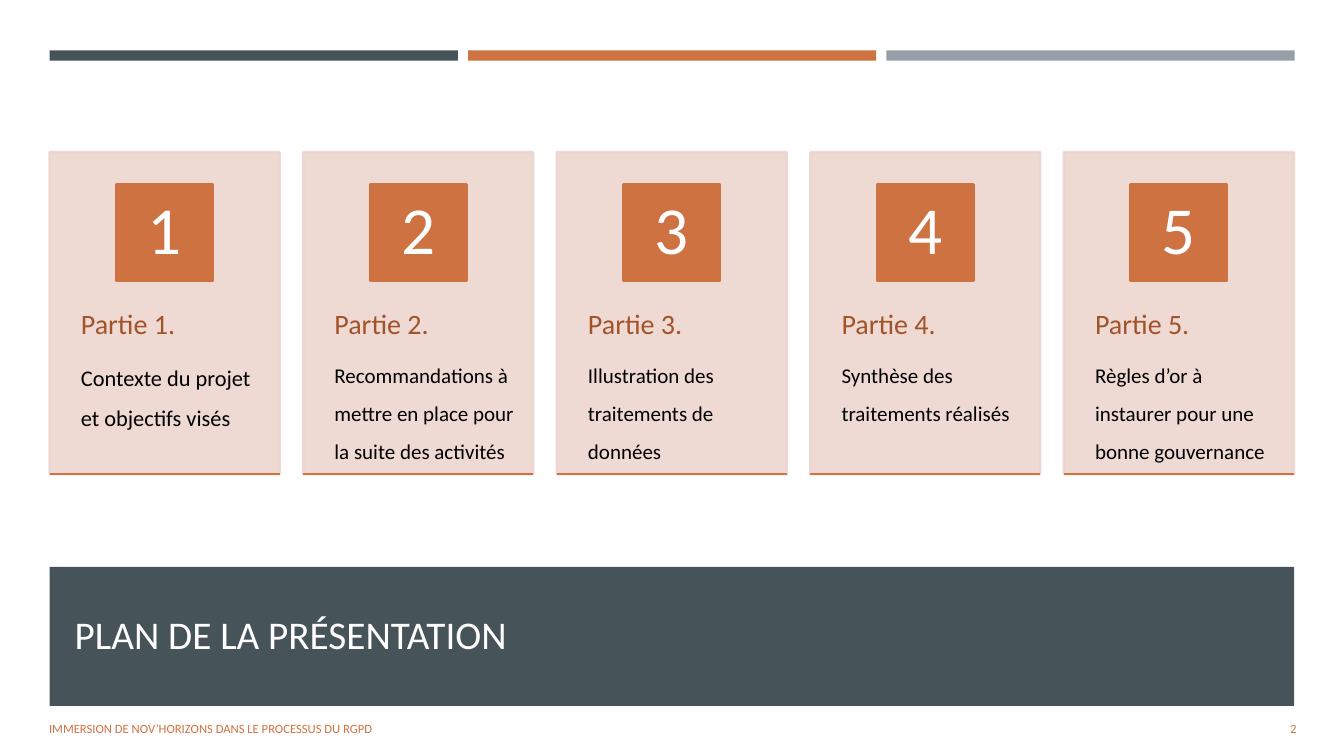
from lxml import etree
from pptx import Presentation
from pptx.dml.color import RGBColor
from pptx.enum.shapes import MSO_CONNECTOR as CONN, MSO_SHAPE as SHAPE
from pptx.enum.text import MSO_ANCHOR as ANCHOR, PP_ALIGN as ALIGN
from pptx.oxml.ns import qn
from pptx.util import Pt

SLATE = RGBColor(0x46, 0x53, 0x59)
ORANGE = RGBColor(0xCE, 0x72, 0x42)
GREY = RGBColor(0x96, 0x9F, 0xA7)
PINK = RGBColor(0xED, 0xD5, 0xCF)
RUST = RGBColor(0xA2, 0x53, 0x2A)
BLACK = RGBColor(0, 0, 0)
WHITE = RGBColor(0xFF, 0xFF, 0xFF)
TITLE_WHITE = RGBColor(0xFF, 0xFE, 0xFF)

FONT = "Calibri"
LEFT = 35.5
CARD_W, CARD_PITCH = 164.3, 181.1
CARD_TOP, CARD_H = 108.7, 230
BADGE = 69.1

PARTS = [
    ("Contexte du projet et objectifs visés", 16),
    ("Recommandations à mettre en place pour la suite des activités", 15),
    ("Illustration des traitements de données", 15),
    ("Synthèse des traitements réalisés", 15),
    ("Règles d’or à instaurer pour une bonne gouvernance", 15),
]


def set_alpha(fill_parent, percent):
    color = fill_parent.find(qn("a:solidFill"))[0]
    etree.SubElement(color, qn("a:alpha")).set("val", str(percent * 1000))


def add_rect(slide, x, y, w, h, color, line=None, alpha=None):
    sp = slide.shapes.add_shape(SHAPE.RECTANGLE, Pt(x), Pt(y), Pt(w), Pt(h))
    sp.shadow.inherit = False
    sp.fill.solid()
    sp.fill.fore_color.rgb = color
    if line:
        sp.line.color.rgb = color
        sp.line.width = Pt(line)
    else:
        sp.line.fill.background()
    if alpha:
        props = sp._element.spPr
        set_alpha(props, alpha)
        set_alpha(props.find(qn("a:ln")), alpha)
    return sp


def add_rule(slide, x, y, w, color, width):
    cxn = slide.shapes.add_connector(CONN.STRAIGHT, Pt(x), Pt(y), Pt(x + w), Pt(y))
    cxn.line.color.rgb = color
    cxn.line.width = Pt(width)
    etree.SubElement(cxn._element.spPr, qn("a:effectLst"))


def set_frame(sp, insets=(7.2, 3.6, 7.2, 3.6), anchor=ANCHOR.MIDDLE):
    tf = sp.text_frame
    tf.word_wrap = True
    tf.vertical_anchor = anchor
    tf.margin_left, tf.margin_top, tf.margin_right, tf.margin_bottom = map(Pt, insets)
    return tf


def add_box(slide, x, y, w, h, **frame):
    return set_frame(slide.shapes.add_textbox(Pt(x), Pt(y), Pt(w), Pt(h)), **frame)


def write(tf, text, size, color, align=ALIGN.LEFT, spacing=None, after=0):
    p = tf.paragraphs[0]
    if p.runs:
        p = tf.add_paragraph()
    p.alignment = align
    p.line_spacing = spacing
    p.space_after = Pt(after)
    r = p.add_run()
    r.text = text
    r.font.name = FONT
    r.font.size = Pt(size)
    r.font.color.rgb = color


def add_card(slide, number, text, size):
    x = LEFT + (number - 1) * CARD_PITCH
    add_rect(slide, x, CARD_TOP, CARD_W, CARD_H, PINK, line=1.75, alpha=90)

    # Heading and description
    tf = add_box(slide, x, 195.8, CARD_W, 138.2,
                 insets=(22.3, 25.9, 13, 25.9), anchor=ANCHOR.TOP)
    write(tf, f"Partie {number}.", 20, RUST, spacing=0.9, after=7)
    write(tf, text, size, BLACK, spacing=1.5)

    # Number badge
    sp = add_rect(slide, x + (CARD_W - BADGE) / 2, 131.8, BADGE, BADGE, ORANGE, line=1.75)
    tf = set_frame(sp, insets=(5, 0.7, 5, 0.7))
    write(tf, str(number), 48, WHITE, align=ALIGN.CENTER, spacing=0.9)

    add_rule(slide, x, CARD_TOP + CARD_H, CARD_W, ORANGE, 1.75)


def main():
    prs = Presentation()
    prs.slide_width, prs.slide_height = Pt(960), Pt(540)
    slide = prs.slides.add_slide(prs.slide_layouts[6])

    # Title band
    add_rect(slide, LEFT, 405, 889, 99.2, SLATE)
    write(add_box(slide, 46.3, 414.7, 868, 75.6), "PLAN DE LA PRÉSENTATION", 28, TITLE_WHITE)

    # Top bars
    for i, color in enumerate((SLATE, ORANGE, GREY)):
        add_rect(slide, LEFT + i * 298.8, 36, 291.6, 7.4, color)

    # Cards
    for number, (text, size) in enumerate(PARTS, 1):
        add_card(slide, number, text, size)

    # Footer
    write(add_box(slide, 28, 506.2, 537, 28.8),
          "IMMERSION DE NOV’HORIZONS DANS LE PROCESSUS DU RGPD", 9, ORANGE)
    write(add_box(slide, 850.3, 506.2, 82.8, 28.8), "2", 9, ORANGE, align=ALIGN.RIGHT)

    prs.save("out.pptx")


if __name__ == "__main__":
    main()
